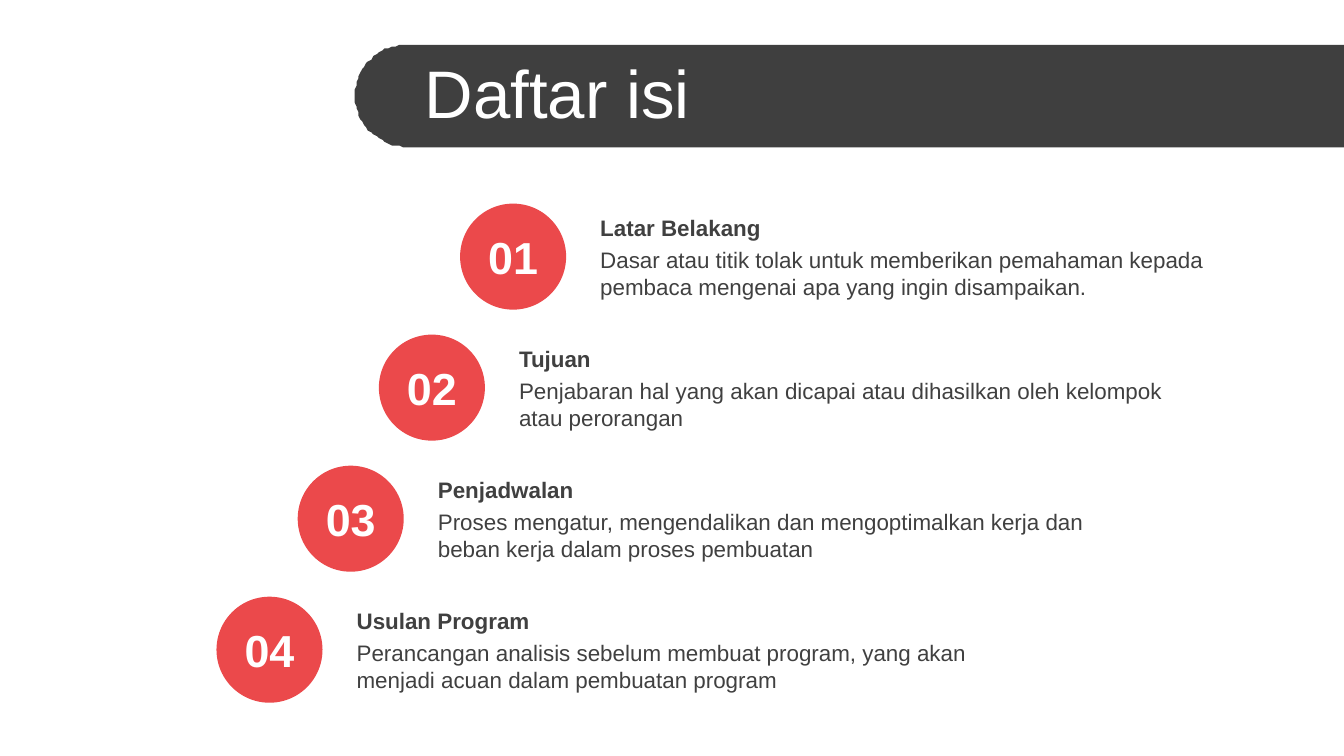
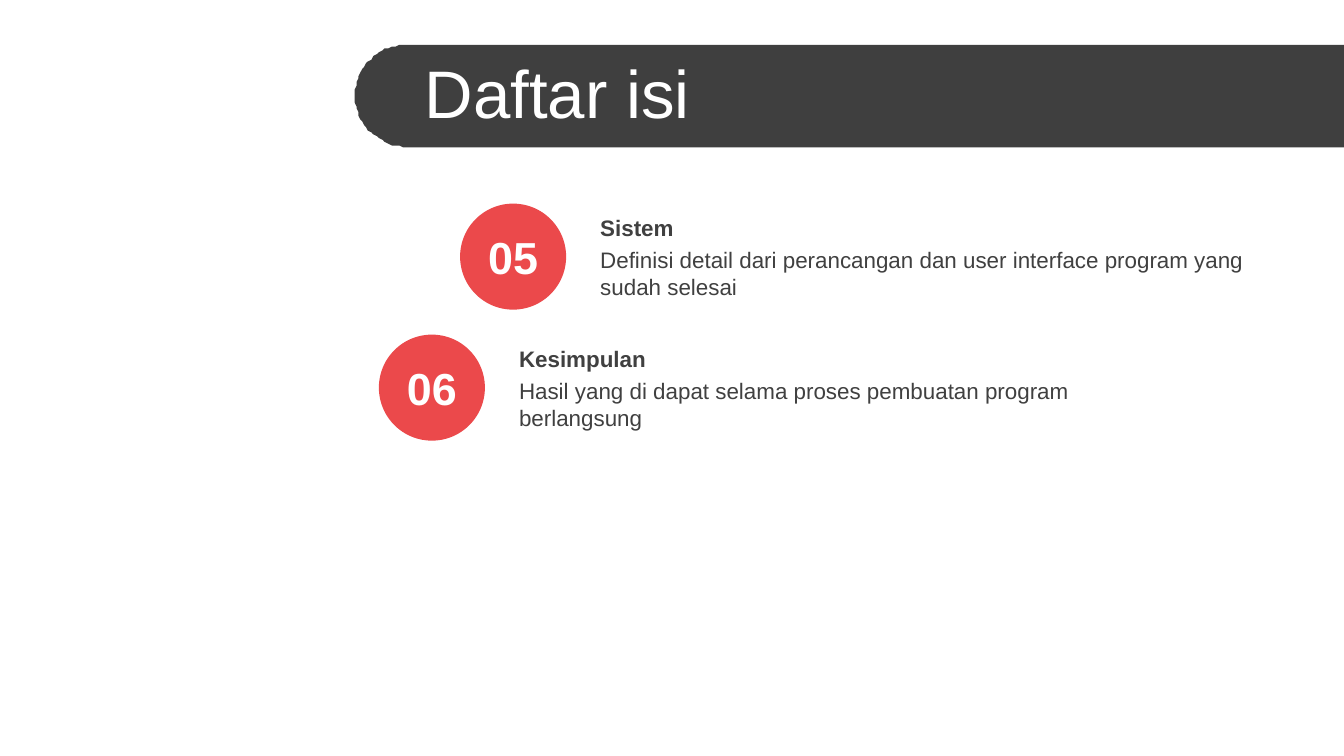
from math import cos, pi, sin

from pptx import Presentation
from pptx.dml.color import RGBColor
from pptx.enum.shapes import MSO_SHAPE
from pptx.enum.text import MSO_ANCHOR, MSO_AUTO_SIZE, PP_ALIGN
from pptx.util import Pt

OVAL = MSO_SHAPE.OVAL
MIDDLE = MSO_ANCHOR.MIDDLE
FIXED = MSO_AUTO_SIZE.NONE
LEFT, CENTER = PP_ALIGN.LEFT, PP_ALIGN.CENTER

COLORS = {"band": "3F3F3F", "badge": "EB494B", "text": "404040", "white": "FFFFFF"}
FONT = "Arial"
TITLE = "Daftar isi"
AGENDA = [
    [
        ("Latar Belakang", "Dasar atau titik tolak untuk memberikan pemahaman kepada pembaca mengenai apa yang ingin disampaikan."),
        ("Tujuan", "Penjabaran hal yang akan dicapai atau dihasilkan oleh kelompok atau perorangan"),
        ("Penjadwalan", "Proses mengatur, mengendalikan dan mengoptimalkan kerja dan beban kerja dalam proses pembuatan"),
        ("Usulan Program", "Perancangan analisis sebelum membuat program, yang akan menjadi acuan dalam pembuatan program"),
    ],
    [
        ("Sistem", "Definisi detail dari perancangan dan user interface program yang sudah selesai"),
        ("Kesimpulan", "Hasil yang di dapat selama proses pembuatan program berlangsung"),
    ],
]

SLIDE_W, SLIDE_H = 720, 405
BAND_TOP, BAND_BOTTOM = 23.6, 79
CAP_X, CAP_RADIUS = 219.5, 29.5
CAP_STEPS = 48
BADGE_X, BADGE_Y, BADGE_SIZE = 246.5, 109.1, 56.8
STEP_X, STEP_Y = -43.5, 70.2
TEXT_DX, TEXT_W = 68, 363
HEADING_DY, HEADING_H = 1.8, 21.6
DETAIL_DY, DETAIL_H = 19.1, 36


def write(frame, text, size=12, color="text", bold=False, align=LEFT):
    frame.word_wrap = True
    frame.auto_size = FIXED
    frame.vertical_anchor = MIDDLE
    paragraph = frame.paragraphs[0]
    paragraph.alignment = align
    run = paragraph.add_run()
    run.text = text
    run.font.name = FONT
    run.font.size = Pt(size)
    run.font.bold = bold
    run.font.color.rgb = RGBColor.from_string(COLORS[color])


def paint(shape, color):
    shape.shadow.inherit = False
    shape.fill.solid()
    shape.fill.fore_color.rgb = RGBColor.from_string(COLORS[color])
    shape.line.fill.background()


band_middle = (BAND_TOP + BAND_BOTTOM) / 2
band_half = (BAND_BOTTOM - BAND_TOP) / 2
cap_angles = [pi / 2 + pi * step / CAP_STEPS for step in range(CAP_STEPS + 1)]
band_outline = [(SLIDE_W, BAND_BOTTOM)] + [
    (CAP_X + CAP_RADIUS * cos(angle), band_middle + band_half * sin(angle))
    for angle in cap_angles
]

deck = Presentation()
deck.slide_width, deck.slide_height = Pt(SLIDE_W), Pt(SLIDE_H)
title_only = deck.slide_layouts[5]
number = 0

for topics in AGENDA:
    slide = deck.slides.add_slide(title_only)
    shapes = slide.shapes

    outline = shapes.build_freeform(SLIDE_W, BAND_TOP, scale=Pt(1))
    outline.add_line_segments(band_outline, close=True)
    band = outline.convert_to_shape()
    paint(band, "band")

    title = shapes.title
    title.left, title.top, title.width, title.height = Pt(220.3), Pt(26.6), Pt(499.7), Pt(45.4)
    write(title.text_frame, TITLE, size=36, color="white")
    band.element.addnext(title.element)

    for row, (heading, detail) in enumerate(topics):
        number += 1
        x = BADGE_X + row * STEP_X
        y = BADGE_Y + row * STEP_Y

        badge = shapes.add_shape(OVAL, Pt(x), Pt(y), Pt(BADGE_SIZE), Pt(BADGE_SIZE))
        paint(badge, "badge")
        badge.text_frame.margin_left = badge.text_frame.margin_right = 0
        write(badge.text_frame, f"{number:02}", size=24, color="white", bold=True, align=CENTER)

        for text, dy, height, bold in (
            (heading, HEADING_DY, HEADING_H, True),
            (detail, DETAIL_DY, DETAIL_H, False),
        ):
            box = shapes.add_textbox(Pt(x + TEXT_DX), Pt(y + dy), Pt(TEXT_W), Pt(height))
            write(box.text_frame, text, bold=bold)

deck.save("out.pptx")
